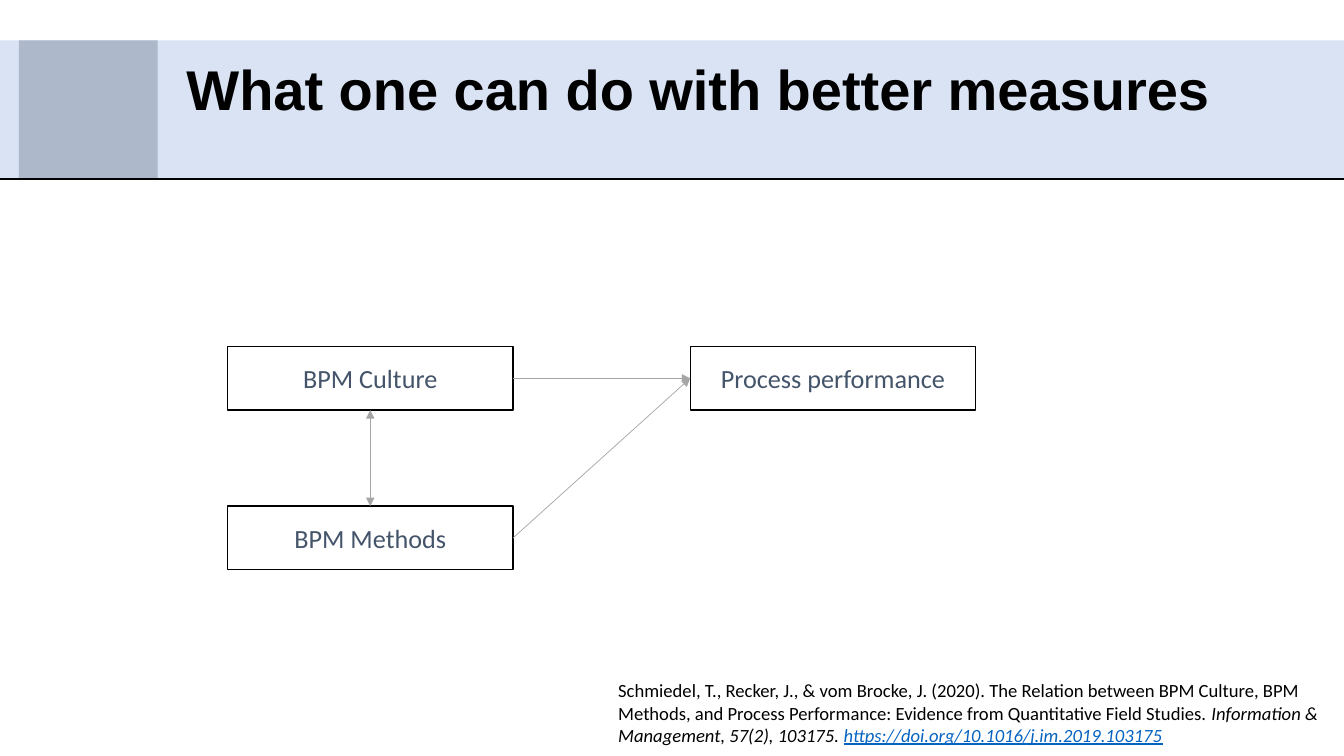
"""Build the slide on what better measures make possible."""
from lxml.etree import SubElement
from pptx import Presentation
from pptx.dml.color import RGBColor
from pptx.enum.shapes import MSO_CONNECTOR, MSO_SHAPE
from pptx.enum.text import MSO_ANCHOR, MSO_AUTO_SIZE, PP_ALIGN
from pptx.oxml.ns import qn
from pptx.util import Pt

WIDE, HIGH = 960, 540
TOP, LEFT, BOTTOM, RIGHT = range(4)


def hue(code):
    """Turn a hex string into a colour."""
    return RGBColor.from_string(code)


def write(para, text, size=18.7, font="Calibri", color="000000",
          bold=False, italic=False, under=False):
    """Add a formatted run to a paragraph."""
    run = para.add_run()
    run.text = text
    style = run.font
    style.size, style.name = Pt(size), font
    style.bold, style.italic, style.underline = bold, italic, under
    style.color.rgb = hue(color)


class Board:
    """Hold the style and the current slide."""

    ink, slate, gray = "000000", "44546A", "A5A5A5"

    def __init__(self, deck):
        """Add a slide with a title to the deck."""
        self.slide = deck.slides.add_slide(deck.slide_layouts[5])
        self.shapes = self.slide.shapes

    def block(self, left, top, width, height, fill, edge=None):
        """Draw a filled rectangle."""
        shape = self.shapes.add_shape(
            MSO_SHAPE.RECTANGLE, Pt(left), Pt(top), Pt(width), Pt(height))
        shape.shadow.inherit = False
        shape.fill.solid()
        shape.fill.fore_color.rgb = hue(fill)
        if edge:
            shape.line.color.rgb = hue(edge)
            shape.line.width = Pt(1)
        else:
            shape.line.fill.background()
        return shape

    def node(self, left, top, text):
        """Draw a labelled box of the model."""
        shape = self.block(left, top, 204, 45.5, "FFFFFF", self.ink)
        frame = shape.text_frame
        frame.word_wrap = True
        frame.vertical_anchor = MSO_ANCHOR.MIDDLE
        para = frame.paragraphs[0]
        para.alignment = PP_ALIGN.CENTER
        write(para, text, color=self.slate)
        return shape

    def line(self, start, end, color, width):
        """Draw a straight line between two points."""
        link = self.shapes.add_connector(
            MSO_CONNECTOR.STRAIGHT, *map(Pt, start + end))
        link.line.color.rgb = hue(color)
        link.line.width = Pt(width)
        SubElement(link.element.spPr, qn("a:effectLst"))
        return link

    def arrow(self, start, out, end, into, ends=("tailEnd",)):
        """Join two boxes with an arrow."""
        link = self.line((0, 0), (0, 0), self.gray, 0.5)
        link.begin_connect(start, out)
        link.end_connect(end, into)
        edge = link.element.spPr.find(qn("a:ln"))
        for name in ends:
            SubElement(edge, qn("a:" + name), type="triangle")

    def title(self, text):
        """Fill the title and bring it in front of the band."""
        shape = self.shapes.title
        shape.left, shape.top = Pt(126), Pt(28.8)
        shape.width, shape.height = Pt(834), Pt(68.4)
        frame = shape.text_frame
        frame.auto_size = MSO_AUTO_SIZE.NONE
        frame.vertical_anchor = MSO_ANCHOR.MIDDLE
        para = frame.paragraphs[0]
        para.alignment = PP_ALIGN.LEFT
        write(para, text, size=40, font="Arial", bold=True)
        tree = shape.element.getparent()
        tree.append(shape.element)

    def note(self, left, top, width, height, parts):
        """Add a text box of differently formatted parts."""
        box = self.shapes.add_textbox(
            Pt(left), Pt(top), Pt(width), Pt(height))
        frame = box.text_frame
        frame.word_wrap = True
        frame.auto_size = MSO_AUTO_SIZE.SHAPE_TO_FIT_TEXT
        for text, look in parts:
            write(frame.paragraphs[0], text, size=13.3, **look)


def main():
    """Build and save the slide."""
    deck = Presentation()
    deck.slide_width, deck.slide_height = Pt(WIDE), Pt(HIGH)
    board = Board(deck)

    board.block(0, 28.8, WIDE, 99.2, "DAE3F3")
    board.block(13.5, 28.8, 99.2, 99.2, "ADB9CA")
    board.line((0, 128), (WIDE, 128), board.ink, 1.5)
    board.title("What one can do with better measures")

    board.note(434.5, 481.7, 525.5, 55.4, [
        ("Schmiedel, T., Recker, J., & vom Brocke, J. (2020). The Relation "
         "between BPM Culture, BPM Methods, and Process Performance: "
         "Evidence from Quantitative Field Studies. ", {}),
        ("Information & Management, 57(2), 103175. ", {"italic": True}),
        ("https://doi.org/10.1016/j.im.2019.103175",
         {"italic": True, "under": True, "color": "0563C1"}),
    ])

    culture = board.node(162.5, 247.5, "BPM Culture")
    methods = board.node(162.5, 361.5, "BPM Methods")
    result = board.node(493, 247.5, "Process performance")
    board.arrow(culture, RIGHT, result, LEFT)
    board.arrow(methods, RIGHT, result, LEFT)
    board.arrow(methods, TOP, culture, BOTTOM, ("headEnd", "tailEnd"))

    deck.save("out.pptx")


if __name__ == "__main__":
    main()
